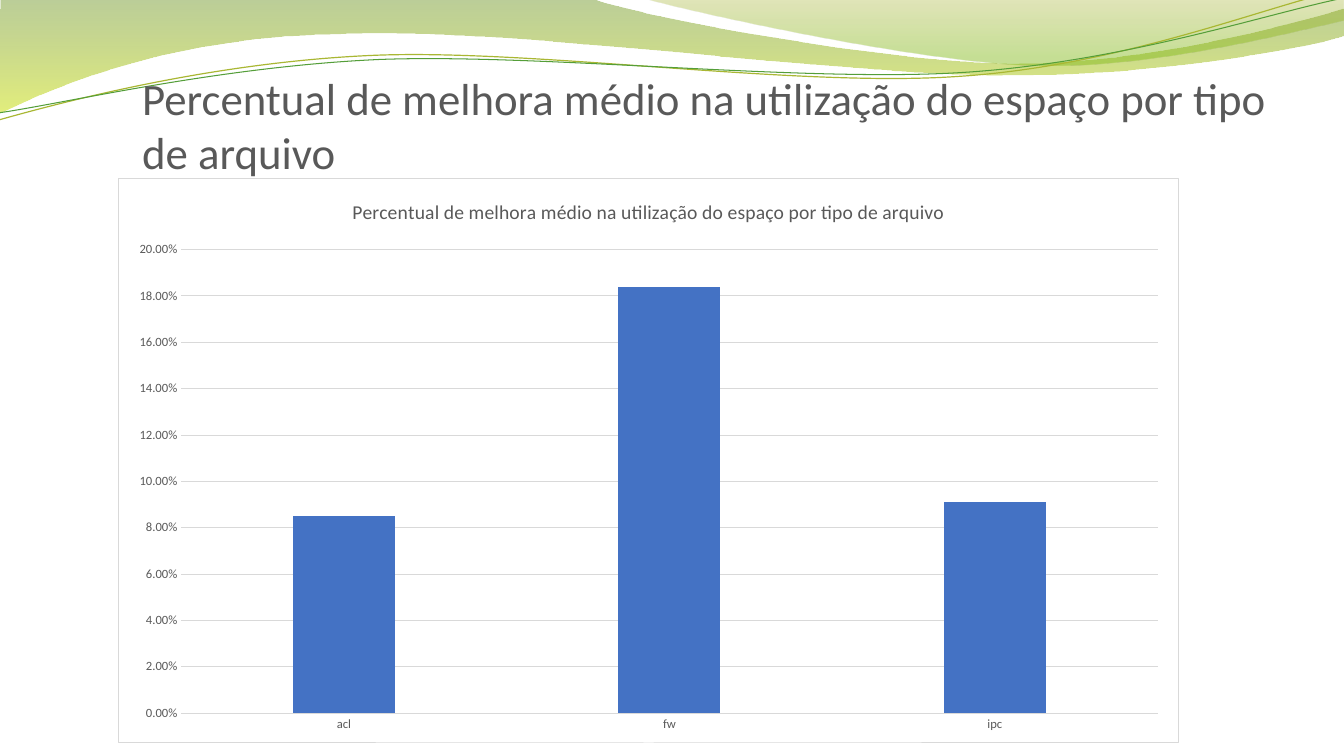
from dataclasses import dataclass
from math import cos, radians, sin

from lxml import etree
from pptx import Presentation
from pptx.chart.data import CategoryChartData
from pptx.dml.color import RGBColor
from pptx.enum.chart import XL_CHART_TYPE, XL_TICK_MARK
from pptx.enum.text import MSO_ANCHOR
from pptx.oxml import parse_xml
from pptx.oxml.ns import nsdecls, qn
from pptx.util import Pt

COLUMNS = XL_CHART_TYPE.COLUMN_CLUSTERED
NO_TICK = XL_TICK_MARK.NONE
BOTTOM = MSO_ANCHOR.BOTTOM


@dataclass(frozen=True)
class Theme:
    font: str = "Calibri"
    text: str = "595959"
    rule: str = "D9D9D9"
    paper: str = "FFFFFF"
    bar: str = "4472C4"
    olive_line: str = "A9B733"
    green_line: str = "549E39"
    wide_wave: tuple = ((0, "69921C", 45), (1, "CCE10F", 55))
    right_wave: tuple = ((0, "9BAA1A", 30), (0.8, "81BA16", 45))
    heading_size: int = 32
    chart_title_size: int = 14
    axis_size: int = 9
    rule_width: float = 0.75


THEME = Theme()
HEADING = "Percentual de melhora médio na utilização do espaço por tipo de arquivo"
IMPROVEMENT = {"acl": 0.085, "fw": 0.184, "ipc": 0.091}
STRAND_TILT = -2.7

WIDE_WAVE = [
    [(0, 0)], [(422.6, -0.7)],
    [(456.5, 12.2), (636.5, 45.4), (727.9, 45.4)],
    [(818.6, 45.4), (919.4, 18.7), (959.8, 6.5)],
    [(960.5, 25.9)],
    [(943.9, 31.7), (834.5, 54.7), (715.7, 54)],
    [(596.9, 54), (366.5, 20.2), (247, 24.5)],
    [(123.8, 25.9), (43.9, 59.8), (-1.4, 81.4)],
    [(0, 0)]]
RIGHT_WAVE = [
    [(459.4, -0.7)],
    [(488.9, 7.9), (654.5, 44.6), (738, 46.8)],
    [(820.8, 49.7), (923, 23), (959.8, 15.1)],
    [(959.8, 0)], [(459.4, -0.7)]]
OLIVE_STRAND = [
    [(-0.7, 85.7)],
    [(45.4, 72.7), (151.2, 44.6), (265.7, 39.6)],
    [(379.4, 34.6), (568.1, 62.6), (683.3, 54.7)],
    [(799.2, 47.5), (900.7, 5.8), (957.6, -7.2)]]
GREEN_STRAND = [
    [(-0.7, 80.6)],
    [(44.6, 74.2), (157, 47.5), (271.4, 42.5)],
    [(386.6, 38.2), (573.1, 59), (687.6, 51.8)],
    [(802.1, 44.6), (903.6, 10.1), (959.8, -1.4)]]


def rgb(code):
    return RGBColor.from_string(code)


def style_font(font, size, color=THEME.text):
    font.name = THEME.font
    font.size = Pt(size)
    font.bold = False
    font.color.rgb = rgb(color)


def write_text(frame, text, **style):
    run = frame.paragraphs[0].add_run()
    run.text = text
    style_font(run.font, **style)


def style_line(line, color, width=THEME.rule_width):
    line.color.rgb = rgb(color)
    line.width = Pt(width)


def add_outline(slide, origin, segments, closed):
    left, top = origin
    placed = [(Pt(left + x), Pt(top + y)) for segment in segments for x, y in segment]
    builder = slide.shapes.build_freeform(*placed[0])
    builder.add_line_segments(placed[1:], close=closed)
    outline = builder.convert_to_shape()
    outline.shadow.inherit = False
    steps = iter(list(outline.element.spPr.iter(qn("a:lnTo"))))
    for segment in segments[1:]:
        nodes = [next(steps) for _ in segment]
        if len(nodes) == 3:
            curve = etree.Element(qn("a:cubicBezTo"))
            nodes[0].addprevious(curve)
            for node in nodes:
                curve.append(node[0])
                node.getparent().remove(node)
    return outline


def add_wave(slide, origin, segments, stops):
    wave = add_outline(slide, origin, segments, True)
    wave.line.fill.background()
    wave.fill.gradient()
    wave.fill.gradient_angle = 270
    for stop, (position, color, _) in zip(wave.fill.gradient_stops, stops):
        stop.position = position
        stop.color.rgb = rgb(color)
    for node, (_, _, opacity) in zip(wave.element.spPr.iter(qn("a:srgbClr")), stops):
        etree.SubElement(node, qn("a:alpha")).set("val", str(opacity * 1000))


def turn(point, pivot, degrees):
    angle = radians(degrees)
    dx, dy = point[0] - pivot[0], point[1] - pivot[1]
    return (pivot[0] + dx * cos(angle) - dy * sin(angle),
            pivot[1] + dx * sin(angle) + dy * cos(angle))


def add_strand(slide, origin, segments, pivot, color, width):
    level = [[turn(point, pivot, -STRAND_TILT) for point in segment] for segment in segments]
    strand = add_outline(slide, origin, level, False)
    strand.rotation = STRAND_TILT
    strand.fill.background()
    style_line(strand.line, color, width)


def add_banner(slide, left, top):
    origin = (left, top)
    add_wave(slide, origin, WIDE_WAVE, THEME.wide_wave)
    add_wave(slide, origin, RIGHT_WAVE, THEME.right_wave)
    add_strand(slide, origin, OLIVE_STRAND, (478.8, 41.4), THEME.olive_line, 0.85)
    add_strand(slide, origin, GREEN_STRAND, (480.2, 42.5), THEME.green_line, 0.75)


def add_heading(slide, left, top, width, height):
    frame = slide.shapes.add_textbox(Pt(left), Pt(top), Pt(width), Pt(height)).text_frame
    frame.word_wrap = True
    frame.vertical_anchor = BOTTOM
    frame.margin_left = frame.margin_right = frame.margin_bottom = 0
    frame.margin_top = Pt(3.6)
    write_text(frame, HEADING, size=THEME.heading_size)


def frame_chart(chart):
    chart.element.find(qn("c:chart")).addnext(parse_xml(
        f'<c:spPr {nsdecls("c", "a")}>'
        f'<a:solidFill><a:srgbClr val="{THEME.paper}"/></a:solidFill>'
        f'<a:ln w="{Pt(THEME.rule_width)}"><a:solidFill>'
        f'<a:srgbClr val="{THEME.rule}"/></a:solidFill></a:ln></c:spPr>'))


def add_improvement_chart(slide, left, top, width, height):
    data = CategoryChartData(number_format="0.00%")
    data.categories = list(IMPROVEMENT)
    data.add_series("Series 1", list(IMPROVEMENT.values()))
    chart = slide.shapes.add_chart(
        COLUMNS, Pt(left), Pt(top), Pt(width), Pt(height), data).chart
    style_font(chart.font, THEME.axis_size)
    frame_chart(chart)
    chart.has_legend = False
    chart.has_title = True
    write_text(chart.chart_title.text_frame, HEADING, size=THEME.chart_title_size)

    plot = chart.plots[0]
    plot.gap_width = 219
    plot.overlap = -27
    plot.vary_by_categories = False
    bars = plot.series[0].format.fill
    bars.solid()
    bars.fore_color.rgb = rgb(THEME.bar)

    for axis in (chart.category_axis, chart.value_axis):
        axis.major_tick_mark = axis.minor_tick_mark = NO_TICK
        style_font(axis.tick_labels.font, THEME.axis_size)
    style_line(chart.category_axis.format.line, THEME.rule)

    percent = chart.value_axis
    percent.minimum_scale, percent.maximum_scale, percent.major_unit = 0, 0.2, 0.02
    percent.tick_labels.number_format = "0.00%"
    percent.tick_labels.number_format_is_linked = False
    percent.format.line.fill.background()
    style_line(percent.major_gridlines.format.line, THEME.rule)


def main():
    deck = Presentation()
    deck.slide_width, deck.slide_height = Pt(960), Pt(540)
    slide = deck.slides.add_slide(deck.slide_layouts[6])
    add_banner(slide, 0, 0)
    add_heading(slide, 101.5, 37.5, 827.3, 90)
    add_improvement_chart(slide, 84.2, 127.2, 758.2, 403.9)
    deck.save("out.pptx")


main()
